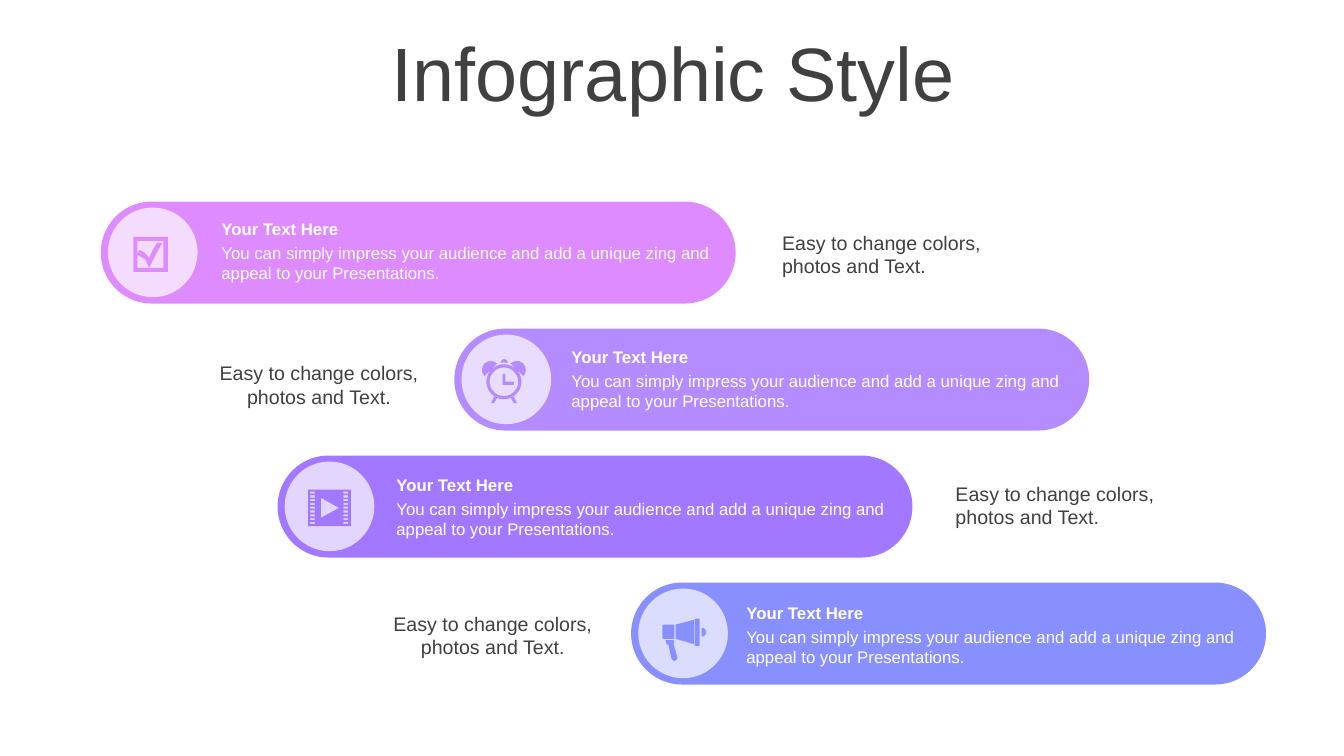
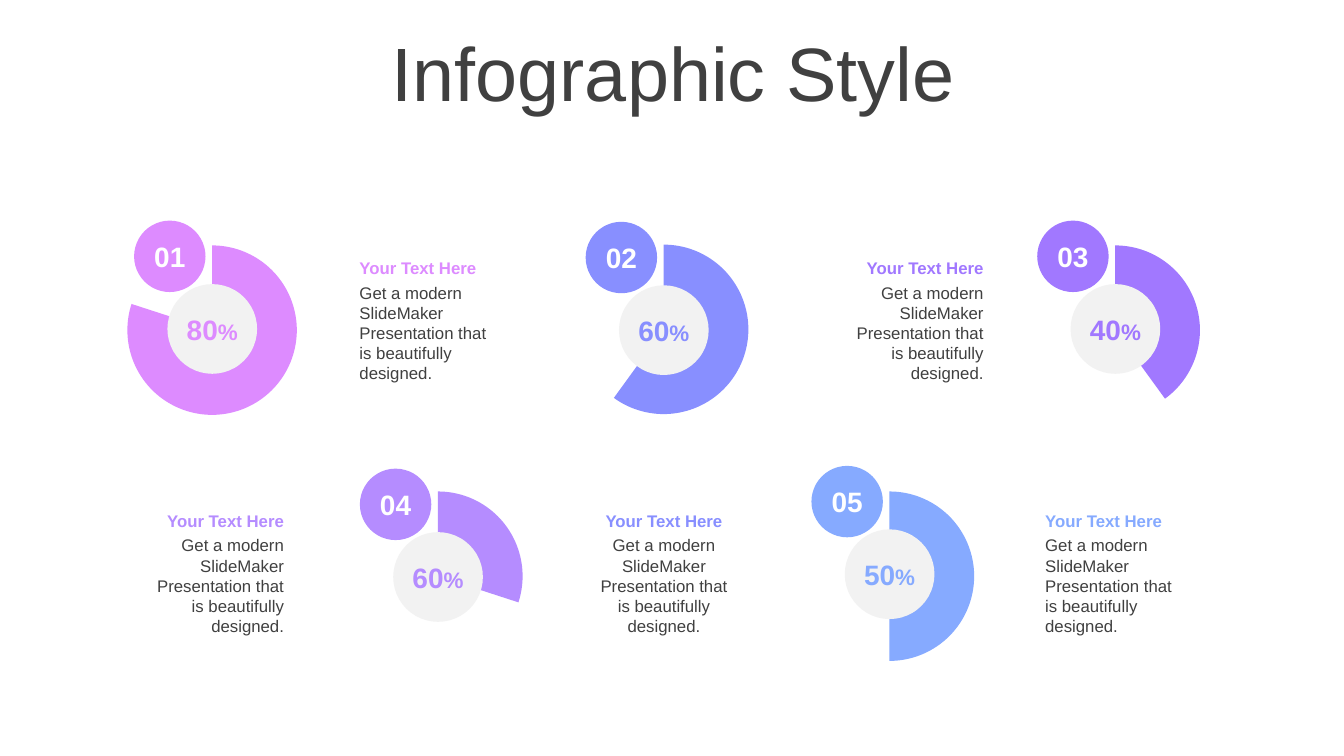
from math import cos, radians, sin

from lxml.etree import SubElement
from pptx import Presentation
from pptx.chart.data import CategoryChartData as Data
from pptx.dml.color import RGBColor
from pptx.enum.chart import XL_CHART_TYPE as Chart
from pptx.enum.shapes import MSO_SHAPE as Kind
from pptx.enum.text import MSO_ANCHOR as Anchor, MSO_AUTO_SIZE as Fit, PP_ALIGN as Align
from pptx.oxml.ns import qn
from pptx.util import Cm, Pt

rgb = RGBColor.from_string
FONT = "Arial"
DARK, WHITE, GREY = "404040", "FFFFFF", "F2F2F2"
PINK, LILAC, VIOLET, INDIGO, BLUE = "DD8BFF", "B58CFF", "A178FF", "888FFF", "86AAFF"


def draw(slide, kind, x, y, w, h, hue):
    shape = slide.shapes.add_shape(kind, Cm(x), Cm(y), Cm(w), Cm(h))
    shape.shadow.inherit = False
    shape.fill.solid()
    shape.fill.fore_color.rgb = rgb(hue)
    shape.line.fill.background()
    return shape


def write(shape, text, size, hue, align=Align.LEFT, bold=False):
    frame = shape.text_frame
    frame.word_wrap = True
    par = frame.paragraphs[0]
    par.text = text
    par.alignment = align
    par.font.name = FONT
    par.font.size = Pt(size)
    par.font.bold = bold
    par.font.color.rgb = rgb(hue)
    return par


deck = Presentation()
deck.slide_width, deck.slide_height = Cm(33.87), Cm(19.05)
bars, dials = [deck.slides.add_slide(deck.slide_layouts[5]) for _ in range(2)]

for slide in (bars, dials):
    title = slide.shapes.title
    title.left, title.top, title.width, title.height = Cm(0.89), Cm(0.94), Cm(32.16), Cm(2)
    par = write(title, "Infographic Style", 54, DARK, Align.CENTER)
    par.line_spacing = 0.9
    title.text_frame.auto_size = Fit.NONE
    title.text_frame.vertical_anchor = Anchor.MIDDLE

check = [
    [(-49, -39), (38, -39), (38, 49), (-49, 49)],
    [(-39, -29), (27, -29), (27, 39), (-39, 39)],
    [(-39, 6), (-34, -6), (-20, 1), (-9, 14), (0, -6), (11, -24), (24, -24),
     (8, 5), (-9, 39), (-19, 17)],
]
clock = [
    [(-9, -14), (-2, -14), (-2, 6), (19, 6), (19, 14), (-9, 14)],
    [(19, 44), (27, 60), (19, 60), (11, 46)],
    [(-31, 44), (-39, 60), (-31, 60), (-23, 46)],
]
film = [
    [(-54, -42), (54, -42), (54, 50), (-54, 50)],
    [(-22, -22), (-22, 29), (24, 4)],
]
for left in (-49, 35):
    for row in range(9):
        top = -37 + 9.5 * row
        film.append([(left, top), (left + 12, top), (left + 12, top + 5), (left, top + 5)])
horn = [
    [(-44, 17), (-24, 17), (-22, 24), (-24, 27), (-14, 62), (-17, 67), (-22, 70),
     (-29, 65), (-37, 29), (-42, 27)],
    [(-52, -19), (-49, -22), (-22, -22), (-22, 14), (-49, 14), (-52, 11)],
    [(27, -34), (27, 27), (-19, 14), (-19, -22)],
    [(29, -35), (31, -37), (40, -37), (42, -35), (42, 30), (40, 32), (31, 32), (29, 30)],
]
arcs = [
    (clock, -6, 6, 44, 0, 360),
    (clock, -6, 6, 36, 0, 360),
    (clock, -39, -24, 22, 135, 315),
    (clock, 27, -24, 22, 225, 405),
    (clock, -5, -42, 9, 180, 360),
    (horn, 47, -3, 11, -90, 90),
]
for icon, x, y, size, start, end in arcs:
    turns = [radians(deg) for deg in range(start, end + 1, 5)]
    icon.append([(x + size * cos(turn), y + size * sin(turn)) for turn in turns])

pitch = "You can simply impress your audience and add a unique zing and appeal to your Presentations."
rows = [(0, PINK, check), (2, LILAC, clock), (1, VIOLET, film), (3, INDIGO, horn)]
for row, (step, hue, icon) in enumerate(rows):
    x, y = 2.54 + 4.455 * step, 5.08 + 3.2 * row
    pill = draw(bars, Kind.ROUNDED_RECTANGLE, x, y, 16, 2.57, hue)
    pill.adjustments[0] = 0.5
    disc = draw(bars, Kind.OVAL, x + 0.18, y + 0.15, 2.26, 2.26, WHITE)
    tint = disc.fill._xPr.find(".//" + qn("a:srgbClr"))
    SubElement(tint, qn("a:alpha"), val="70000")

    pen = bars.shapes.build_freeform(*icon[0][0], scale=Cm(0.01))
    for spot, line in enumerate(icon):
        if spot:
            pen.move_to(*line[0])
        pen.add_line_segments(line[1:], close=True)
    sign = pen.convert_to_shape(Cm(x + 1.31), Cm(y + 1.28))
    sign.shadow.inherit = False
    sign.fill.solid()
    sign.fill.fore_color.rgb = rgb(hue)
    sign.line.fill.background()

    x, y = 5.33 + 4.41 * step, 5.38 + 3.23 * row
    for text, drop, tall, bold in (("Your Text Here", 0, 0.76, True), (pitch, 0.6, 1.27, False)):
        box = bars.shapes.add_textbox(Cm(x), Cm(y + drop), Cm(13.21), Cm(tall))
        write(box, text, 12, WHITE, bold=bold)

notes = [
    (19.46, 5.69, Align.LEFT),
    (23.83, 12.01, Align.LEFT),
    (5.09, 8.97, Align.CENTER),
    (9.47, 15.29, Align.CENTER),
]
for x, y, align in notes:
    box = bars.shapes.add_textbox(Cm(x), Cm(y), Cm(5.9), Cm(1.45))
    write(box, "Easy to change colors, photos and Text.", 14, DARK, align)

rings = [
    (0, 5.94, 7.16, PINK, 80, "80"),
    (2, 5.92, 7.19, INDIGO, 60, "60"),
    (4, 5.94, 7.16, VIOLET, 40, "40"),
    (1, 12.14, 13.41, LILAC, 30, "60"),
    (3, 12.14, 13.34, BLUE, 50, "50"),
]
for rank, (slot, y, mid, hue, part, label) in enumerate(rings, 1):
    x = 2.97 + 5.69 * slot
    data = Data()
    data.categories = ["1", "2"]
    data.add_series("Series 1", (part, 100 - part))
    chart = dials.shapes.add_chart(
        Chart.DOUGHNUT, Cm(x), Cm(y), Cm(4.8), Cm(4.67), data).chart
    chart.has_legend = chart.has_title = False
    chart.font.name, chart.font.size = FONT, Pt(18)
    chart.font.color.rgb = rgb("000000")
    plot = chart.plots[0]
    plot.vary_by_categories = True
    points = plot.series[0].points
    for point in (points[0], points[1]):
        point.format.line.fill.background()
    points[0].format.fill.solid()
    points[0].format.fill.fore_color.rgb = rgb(hue)
    points[1].format.fill.background()

    root = chart.element
    root.find(".//" + qn("c:holeSize")).set("val", "70")
    area = root.find(".//" + qn("c:plotArea"))
    for old in area.findall(qn("c:layout")):
        area.remove(old)
    frame = SubElement(area, qn("c:layout"))
    area.insert(0, frame)
    inner = SubElement(frame, qn("c:manualLayout"))
    for tag, val in (("layoutTarget", "inner"), ("xMode", "edge"), ("yMode", "edge"),
                     ("x", "0.05"), ("y", "0.05"), ("w", "0.89"), ("h", "0.92")):
        SubElement(inner, qn("c:" + tag), val=val)

    hub = draw(dials, Kind.OVAL, x + 1.25, mid, 2.26, 2.26, GREY)
    badge = draw(dials, Kind.OVAL, x + 0.41, mid - 1.6, 1.8, 1.8, hue)
    par = write(hub, label, 20, hue, Align.CENTER, True)
    unit = par.add_run()
    unit.text = "%"
    unit.font.size = Pt(16)
    write(badge, f"{rank:02}", 20, WHITE, Align.CENTER, True)
    for shape in (hub, badge):
        shape.text_frame.margin_left = shape.text_frame.margin_right = 0

blurb = "Get a modern SlideMaker Presentation that is beautifully designed."
heads = [
    (8.81, 6.38, PINK, Align.LEFT),
    (20.93, 6.38, VIOLET, Align.RIGHT),
    (3.3, 12.75, LILAC, Align.RIGHT),
    (26.09, 12.75, BLUE, Align.LEFT),
    (14.68, 12.75, INDIGO, Align.CENTER),
]
for x, y, hue, align in heads:
    head = dials.shapes.add_textbox(Cm(x), Cm(y), Cm(4.11), Cm(0.76))
    write(head, "Your Text Here", 12, hue, align, True)
    body = dials.shapes.add_textbox(Cm(x), Cm(y + 0.61), Cm(4.11), Cm(2.82))
    write(body, blurb, 12, DARK, align)

deck.save("out.pptx")
